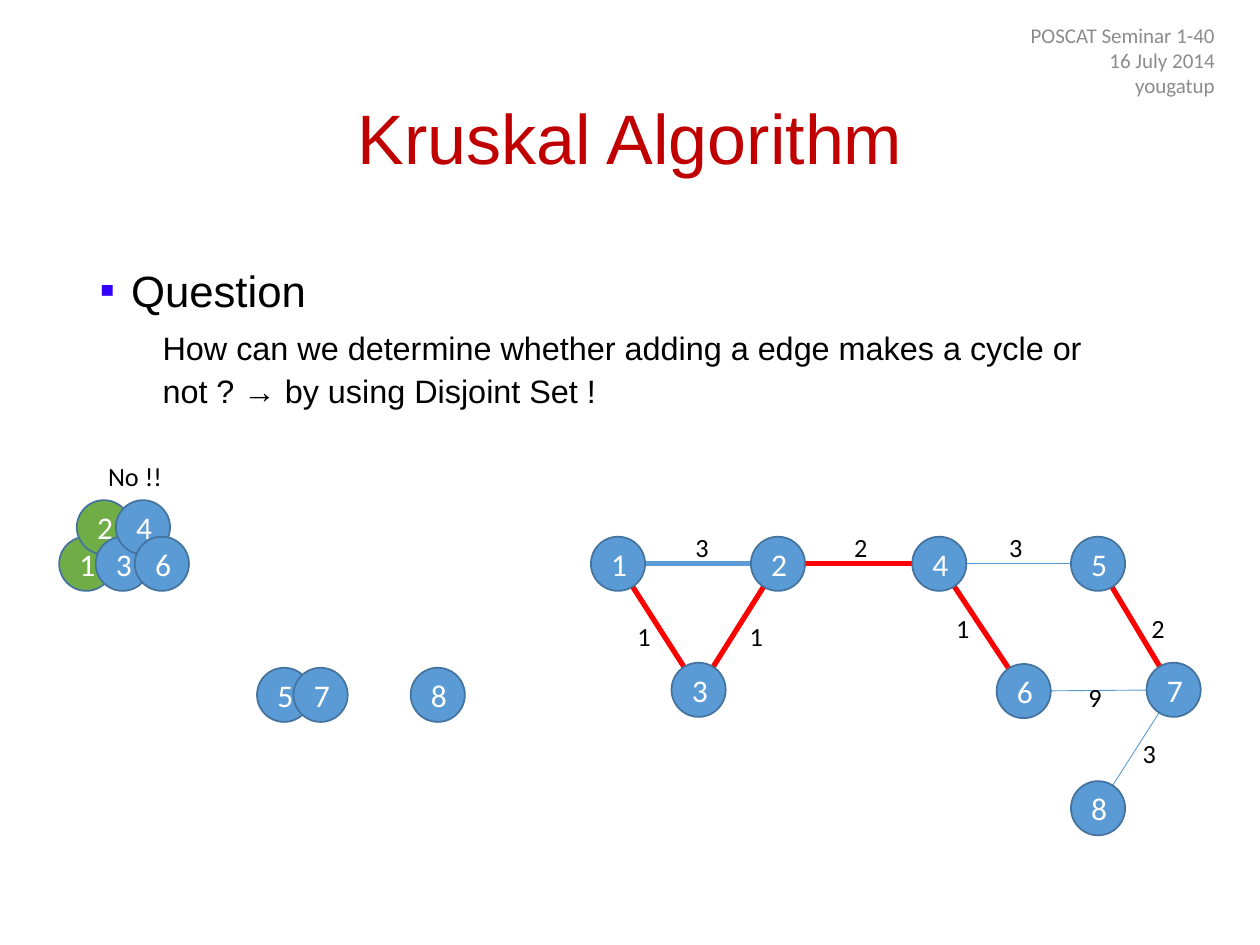
from dataclasses import dataclass
from typing import Any

from lxml import etree
from pptx import Presentation
from pptx.dml.color import RGBColor
from pptx.enum.shapes import MSO_CONNECTOR, MSO_SHAPE
from pptx.enum.text import MSO_ANCHOR, MSO_AUTO_SIZE, PP_ALIGN
from pptx.oxml.ns import qn
from pptx.util import Inches, Pt

LINE, OVAL = MSO_CONNECTOR.STRAIGHT, MSO_SHAPE.OVAL
LEFT, MID, RIGHT = PP_ALIGN.LEFT, PP_ALIGN.CENTER, PP_ALIGN.RIGHT
TOP, CENTER = MSO_ANCHOR.TOP, MSO_ANCHOR.MIDDLE
FIXED = MSO_AUTO_SIZE.NONE


@dataclass(frozen=True)
class Font:
    """Face, size and colour of a kind of text."""
    name: str
    size: float
    color: str


@dataclass(frozen=True)
class Theme:
    """Colours and type of the slide."""
    blue: str = "5B9BD5"
    green: str = "70AD47"
    red: str = "FF0000"
    rim: str = "43739E"
    bullet: str = "3102F8"
    title: Font = Font("Arial", 40, "C00000")
    head: Font = Font("Arial", 25, "000000")
    body: Font = Font("Arial", 18.5, "000000")
    meta: Font = Font("Calibri", 12, "8C8C8C")
    node: Font = Font("Calibri", 18, "FFFFFF")
    label: Font = Font("Calibri", 15, "000000")


@dataclass(frozen=True)
class Node:
    """A numbered circle, placed by its left top corner."""
    name: str
    x: float
    y: float
    fill: str


@dataclass(frozen=True)
class Edge:
    """A weighted link and the corner of its label."""
    start: str
    end: str
    weight: str
    x: float
    y: float
    color: str
    width: float


THEME = Theme()
SIZE = 0.43
BLUE, GREEN, RED = THEME.blue, THEME.green, THEME.red
HIGH, LOW = 4.26, 5.26

GRAPH = [Node(name, x, y, BLUE) for name, x, y in (
    ("1", 4.69, HIGH), ("2", 5.96, HIGH), ("3", 5.33, LOW), ("4", 7.24, HIGH),
    ("6", 7.91, 5.27), ("5", 8.5, HIGH), ("7", 9.1, LOW), ("8", 8.5, 6.2))]
EDGES = [
    Edge("1", "2", "3", 5.42, 4.17, BLUE, 3),
    Edge("1", "3", "1", 4.96, 4.87, RED, 3),
    Edge("3", "2", "1", 5.85, 4.87, RED, 3),
    Edge("2", "4", "2", 6.68, 4.17, RED, 3),
    Edge("4", "5", "3", 7.91, 4.17, BLUE, 0.5),
    Edge("4", "6", "1", 7.49, 4.81, RED, 3),
    Edge("5", "7", "2", 9.04, 4.81, RED, 3),
    Edge("6", "7", "9", 8.54, 5.36, BLUE, 0.5),
    Edge("7", "8", "3", 8.97, 5.8, BLUE, 0.5),
]
SETS = [Node(name, x, y, fill) for name, x, y, fill in (
    ("1", 0.47, HIGH, GREEN), ("2", 0.61, 3.97, GREEN),
    ("3", 0.76, HIGH, BLUE), ("4", 0.92, 3.97, BLUE), ("5", 2.04, 5.3, BLUE),
    ("6", 1.07, HIGH, BLUE), ("7", 2.33, 5.3, BLUE), ("8", 3.26, 5.3, BLUE))]


def apply(target: Any, form: dict[str, Any]) -> None:
    """Set each named value on the target."""
    for key, value in form.items():
        setattr(target, key, value)


def write(para: Any, text: str, font: Font, **form: Any) -> None:
    """Put one styled run in a paragraph."""
    apply(para, form)
    run = para.add_run()
    run.text = text
    apply(run.font, {"name": font.name, "size": Pt(font.size)})
    run.font.color.rgb = RGBColor.from_string(font.color)


def place(shape: Any, x: float, y: float, wide: float, high: float) -> None:
    """Move and size a shape."""
    apply(shape, {"left": Inches(x), "top": Inches(y),
                  "width": Inches(wide), "height": Inches(high)})


def mark(para: Any, left: float, hang: float, sign: str = "") -> None:
    """Set the indent and the bullet of a paragraph."""
    props = para._p.get_or_add_pPr()
    props.set("marL", str(Inches(left)))
    props.set("indent", str(Inches(hang)))
    if not sign:
        etree.SubElement(props, qn("a:buNone"))
        return
    tint = etree.SubElement(props, qn("a:buClr"))
    etree.SubElement(tint, qn("a:srgbClr"), val=THEME.bullet)
    etree.SubElement(props, qn("a:buFont"), typeface="Arial")
    etree.SubElement(props, qn("a:buChar"), char=sign)


def label(slide: Any, text: str, x: float, y: float, wide: float) -> None:
    """Add a small free text."""
    box = slide.shapes.add_textbox(
        Inches(x), Inches(y), Inches(wide), Inches(0.35))
    box.text_frame.word_wrap = False
    write(box.text_frame.paragraphs[0], text, THEME.label, alignment=LEFT)


def draw_node(slide: Any, node: Node) -> None:
    """Draw a numbered circle."""
    disc = slide.shapes.add_shape(
        OVAL, Inches(node.x), Inches(node.y), Inches(SIZE), Inches(SIZE))
    disc.shadow.inherit = False
    disc.fill.solid()
    disc.fill.fore_color.rgb = RGBColor.from_string(node.fill)
    disc.line.color.rgb = RGBColor.from_string(THEME.rim)
    disc.line.width = Pt(1)
    apply(disc.text_frame, {"vertical_anchor": CENTER, "word_wrap": True})
    write(disc.text_frame.paragraphs[0], node.name, THEME.node, alignment=MID)


def draw_edge(slide: Any, edge: Edge, nodes: dict[str, Node]) -> None:
    """Join the centres of two nodes."""
    ends = [Inches(value + SIZE / 2) for name in (edge.start, edge.end)
            for value in (nodes[name].x, nodes[name].y)]
    link = slide.shapes.add_connector(LINE, *ends)
    link.line.color.rgb = RGBColor.from_string(edge.color)
    link.line.width = Pt(edge.width)
    etree.SubElement(link._element.spPr, qn("a:effectLst"))


def draw_text(slide: Any) -> None:
    """Fill the title, the question and the seminar details."""
    title, body = slide.placeholders
    place(title, 0.69, 0.4, 8.62, 1.45)
    place(body, 0.69, 2, 8.62, 4.76)
    for shape, anchor in ((title, CENTER), (body, TOP)):
        apply(shape.text_frame, {"vertical_anchor": anchor,
                                 "auto_size": FIXED, "word_wrap": True})
    write(title.text_frame.paragraphs[0], "Kruskal Algorithm", THEME.title,
          alignment=MID, line_spacing=0.9)
    head = body.text_frame.paragraphs[0]
    write(head, "Question", THEME.head, line_spacing=1.1, space_before=Pt(10))
    mark(head, 0.25, -0.25, "▪")
    ask = body.text_frame.add_paragraph()
    write(ask, "How can we determine whether adding a edge makes a cycle or "
          "not ? → by using Disjoint Set !", THEME.body, level=1,
          line_spacing=1.1, space_before=Pt(5))
    mark(ask, 0.5, 0)

    meta = slide.shapes.add_textbox(0, 0, 0, 0)
    place(meta, 7.49, 0.2, 2.25, 0.55)
    frame = meta.text_frame
    apply(frame, {"word_wrap": True, "vertical_anchor": CENTER})
    for at, line in enumerate(
            ("POSCAT Seminar 1-40", "16 July 2014", "yougatup")):
        para = frame.add_paragraph() if at else frame.paragraphs[0]
        write(para, line, THEME.meta, alignment=RIGHT)


def main() -> None:
    """Build and save the slide."""
    deck = Presentation()
    apply(deck, {"slide_width": Inches(10), "slide_height": Inches(7.5)})
    slide = deck.slides.add_slide(deck.slide_layouts[1])
    draw_text(slide)
    nodes = {node.name: node for node in GRAPH}
    for edge in EDGES:
        draw_edge(slide, edge, nodes)
    for node in GRAPH:
        draw_node(slide, node)
    for edge in EDGES:
        label(slide, edge.weight, edge.x, edge.y, 0.31)
    for node in SETS:
        draw_node(slide, node)
    label(slide, "No !!", 0.76, 3.6, 0.63)
    deck.save("out.pptx")


main()
